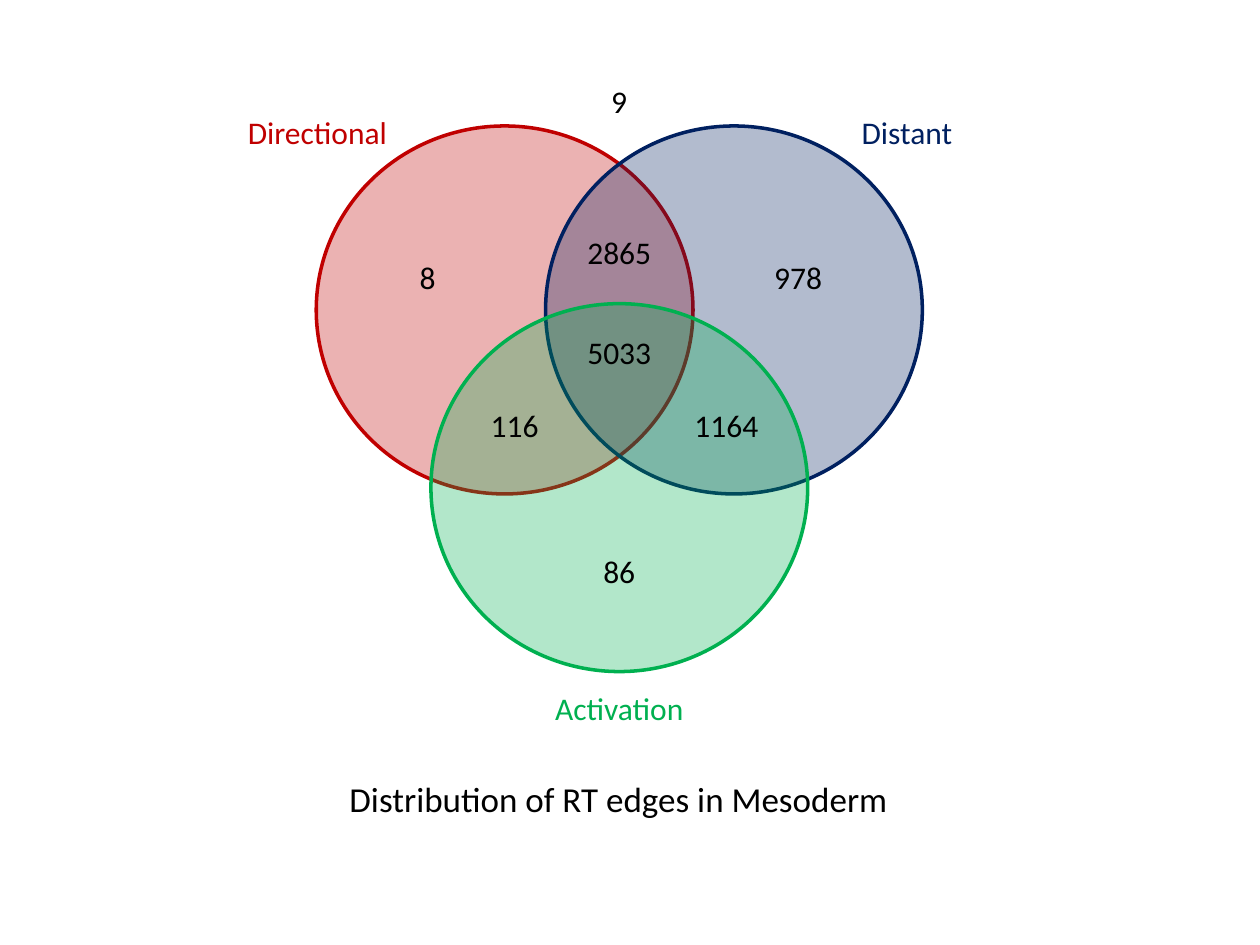
"""Build a three-set Venn diagram of RT edges in mesoderm."""
from lxml import etree
from pptx import Presentation
from pptx.dml.color import RGBColor
from pptx.enum.shapes import MSO_SHAPE
from pptx.enum.text import MSO_ANCHOR, MSO_AUTO_SIZE, PP_ALIGN
from pptx.oxml.ns import qn
from pptx.util import Inches, Pt

OVAL = MSO_SHAPE.OVAL
TOP = MSO_ANCHOR.TOP
FIT_SHAPE = MSO_AUTO_SIZE.SHAPE_TO_FIT_TEXT
LEFT, CENTER, RIGHT = PP_ALIGN.LEFT, PP_ALIGN.CENTER, PP_ALIGN.RIGHT
RED = RGBColor(0xC0, 0x00, 0x00)
NAVY = RGBColor(0x00, 0x20, 0x60)
GREEN = RGBColor(0x00, 0xB0, 0x50)
BLACK = RGBColor(0x00, 0x00, 0x00)
CIRCLE_WIDTH, CIRCLE_HEIGHT = 2.99, 2.92
COUNT_WIDTH, LABEL_HEIGHT = 0.83, 0.4


def write(holder, text, size=18, color=BLACK, align=CENTER):
    frame = holder.text_frame
    frame.word_wrap = True
    frame.auto_size = FIT_SHAPE
    frame.vertical_anchor = TOP
    paragraph = frame.paragraphs[0]
    paragraph.alignment = align
    run = paragraph.add_run()
    run.text = text
    run.font.name = "Calibri"
    run.font.size = Pt(size)
    run.font.color.rgb = color


prs = Presentation()
prs.slide_width, prs.slide_height = Inches(10), Inches(7.5)
slide = prs.slides.add_slide(prs.slide_layouts[5])
shapes = slide.shapes

sets = [
    ("Directional", RED, (2.51, 1), (1.53, 0.85, 1.64), RIGHT),
    ("Distant", NAVY, (4.33, 1), (6.74, 0.85, 1.33), LEFT),
    ("Activation", GREEN, (3.42, 2.41), (4.25, 5.42, 1.33), CENTER),
]
for set_name, color, (left, top), _, _ in sets:
    circle = shapes.add_shape(OVAL, Inches(left), Inches(top),
                              Inches(CIRCLE_WIDTH), Inches(CIRCLE_HEIGHT))
    circle.shadow.inherit = False
    circle.fill.solid()
    circle.fill.fore_color.rgb = color
    fill_color = circle.fill._xPr.find(qn("a:solidFill"))[0]
    etree.SubElement(fill_color, qn("a:alpha"), val="30000")
    circle.line.color.rgb = color
    circle.line.width = Pt(2)

for set_name, color, _, (left, top, width), align in sets:
    set_label = shapes.add_textbox(Inches(left), Inches(top),
                                   Inches(width), Inches(LABEL_HEIGHT))
    write(set_label, set_name, color=color, align=align)

title = shapes.title
title.left, title.top = Inches(1.66), Inches(6.12)
title.width, title.height = Inches(6.5), Inches(0.44)
write(title, "Distribution of RT edges in Mesoderm", size=20)

counts = [
    ("8", 2.98, 2),
    ("978", 5.92, 2),
    ("86", 4.5, 4.33),
    ("5033", 4.5, 2.59),
    ("2865", 4.5, 1.8),
    ("116", 3.67, 3.17),
    ("1164", 5.35, 3.17),
    ("9", 4.5, 0.6),
]
for count, left, top in counts:
    region = shapes.add_textbox(Inches(left), Inches(top),
                                Inches(COUNT_WIDTH), Inches(LABEL_HEIGHT))
    write(region, count)

prs.save("out.pptx")
